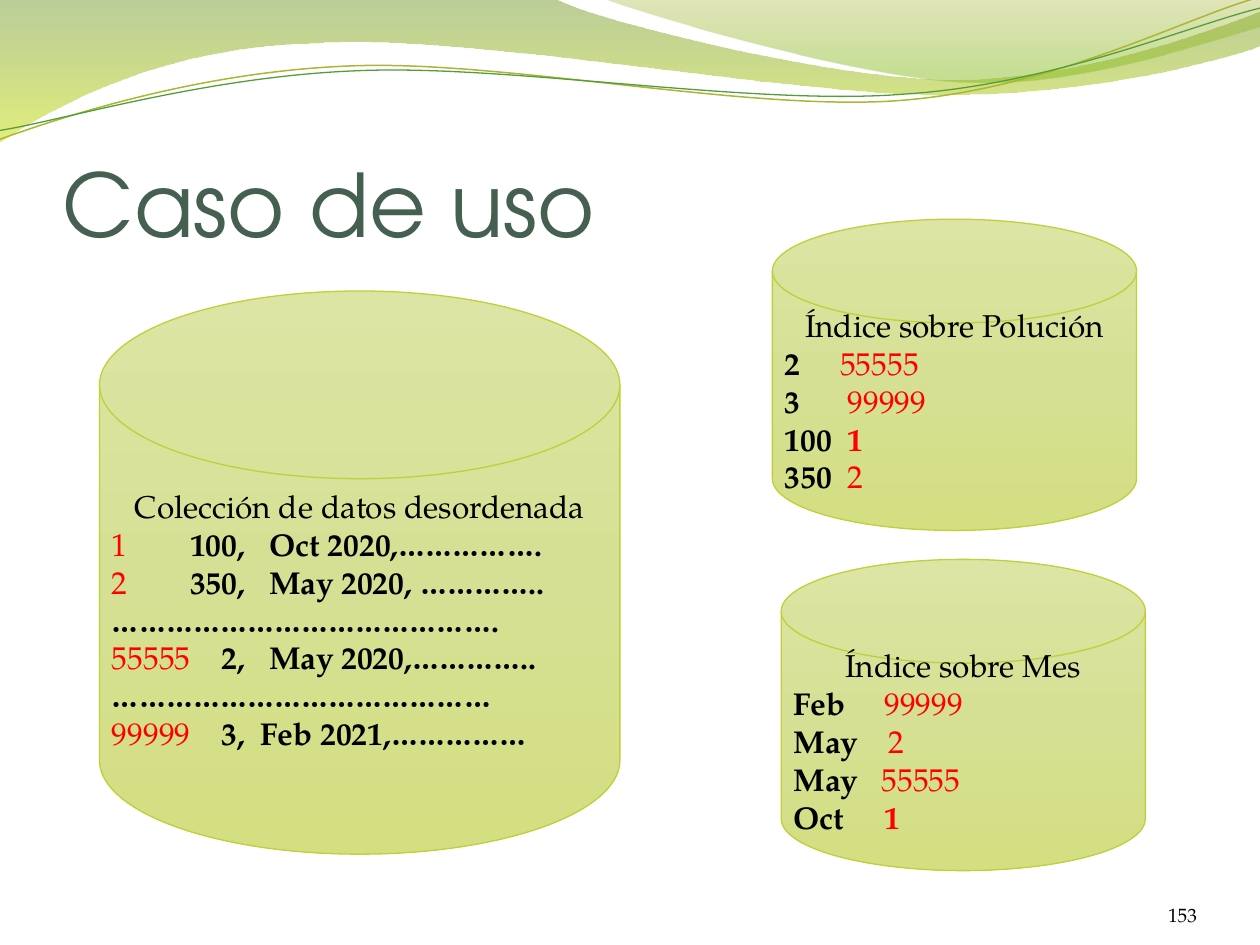
from lxml.etree import SubElement
from pptx import Presentation
from pptx.dml.color import RGBColor
from pptx.enum.shapes import MSO_SHAPE
from pptx.enum.text import MSO_ANCHOR, PP_ALIGN
from pptx.oxml.ns import qn
from pptx.util import Cm, Pt

INCH = 2.54  # centimetres
BODY_FONT = "TeX Gyre Pagella"
BLACK, RED = "000000", "FF0000"


def color(value):
    return RGBColor.from_string(value)


def fill_gradient(shape, stops):
    """Fill from top to bottom; each stop is (position, colour, opacity), in percent."""
    shape.fill.gradient()
    shape.fill.gradient_angle = 270
    stop_list = shape._element.spPr.find(qn("a:gradFill")).find(qn("a:gsLst"))
    for old_stop in list(stop_list):
        stop_list.remove(old_stop)
    for position, value, opacity in stops:
        stop = SubElement(stop_list, qn("a:gs"), pos=str(position * 1000))
        tint = SubElement(stop, qn("a:srgbClr"), val=value)
        if opacity < 100:
            SubElement(tint, qn("a:alpha"), val=str(opacity * 1000))


deck = Presentation()
deck.slide_width, deck.slide_height = Cm(25.4), Cm(19.05)
page = deck.slides.add_slide(deck.slide_layouts[6])

# Header waves, in inches: pairs are corners, sextuples are Bezier curves
waves = [
    ((-0.01, -0.01, 10.02, 1.14), 0,
     [(0, 0), (4.4, -0.01), (4.75, 0.17, 6.63, 0.63, 7.58, 0.63),
      (8.53, 0.63, 9.58, 0.26, 10, 0.09), (10.01, 0.36),
      (9.83, 0.44, 8.69, 0.76, 7.46, 0.75), (6.22, 0.75, 3.81, 0.28, 2.57, 0.34),
      (1.29, 0.36, 0.46, 0.83, -0.01, 1.13), (0, 0)],
     [(0, "69921C", 45), (100, "CCE10F", 55)], None, 0),
    ((4.79, -0.01, 5.21, 0.7), 0,
     [(4.79, -0.01), (5.09, 0.11, 6.82, 0.62, 7.68, 0.65),
      (8.55, 0.69, 9.61, 0.32, 10, 0.21), (10, 0), (4.79, -0.01)],
     [(0, "9BAA1A", 30), (80, "81BA16", 45)], None, 0),
    ((-0.02, 0.22, 10.02, 0.71), 357.3,
     [(-0.02, 0.87), (0.47, 0.72, 1.57, 0.41, 2.77, 0.42),
      (3.96, 0.42, 5.9, 0.93, 7.11, 0.9), (8.32, 0.87, 9.4, 0.36, 9.99, 0.22)],
     None, "A9B733", 0.85),
    ((-0.02, 0.3, 10.03, 0.58), 357.3,
     [(-0.02, 0.8), (0.46, 0.75, 1.63, 0.45, 2.83, 0.46),
      (4.02, 0.46, 5.96, 0.89, 7.16, 0.85), (8.35, 0.83, 9.42, 0.42, 10.02, 0.3)],
     None, "549E39", 0.75),
]
for place, angle, segments, stops, line_color, line_width in waves:
    left, top, width, height = [Cm(length * INCH) for length in place]
    corners = [(Cm(segment[-2] * INCH), Cm(segment[-1] * INCH)) for segment in segments]
    builder = page.shapes.build_freeform(*corners[0])
    builder.add_line_segments(corners[1:], close=stops is not None)
    wave = builder.convert_to_shape()
    wave.left, wave.top, wave.width, wave.height = left, top, width, height
    wave.rotation = angle

    # Redraw the outline with true curves
    outline = next(wave._element.iter(qn("a:path")))
    for step in list(outline):
        outline.remove(step)
    outline.set("w", str(width))
    outline.set("h", str(height))
    for index, segment in enumerate(segments):
        tag = "a:cubicBezTo" if len(segment) == 6 else "a:lnTo" if index else "a:moveTo"
        step = SubElement(outline, qn(tag))
        for x, y in zip(segment[::2], segment[1::2]):
            SubElement(step, qn("a:pt"), x=str(Cm(x * INCH) - left), y=str(Cm(y * INCH) - top))

    wave.shadow.inherit = False
    if stops:
        SubElement(outline, qn("a:close"))
        fill_gradient(wave, stops)
        wave.line.fill.background()
    else:
        wave.fill.background()
        wave.line.color.rgb = color(line_color)
        wave.line.width = Pt(line_width)

# Title and page number
labels = [
    ("Caso de uso", (0.5, 0.77, 9, 1.25), 0.05, PP_ALIGN.LEFT, 50, "TeX Gyre Adventor", "455F51"),
    ("153", (8.67, 6.95, 0.83, 0.4), 0, PP_ALIGN.RIGHT, 11, BODY_FONT, BLACK),
]
for text, place, top_margin, alignment, size, font_name, text_color in labels:
    box = page.shapes.add_textbox(*[Cm(length * INCH) for length in place])
    frame = box.text_frame
    frame.word_wrap = True
    frame.vertical_anchor = MSO_ANCHOR.BOTTOM
    frame.margin_left = frame.margin_right = frame.margin_bottom = 0
    frame.margin_top = Cm(top_margin * INCH)
    frame.text = text
    paragraph = frame.paragraphs[0]
    paragraph.alignment = alignment
    font = paragraph.runs[0].font
    font.size, font.name = Pt(size), font_name
    font.color.rgb = color(text_color)

# Disks: place, heading, rows of (tab stops in inches, spans of text, colour, bold)
disks = [
    ((0.79, 2.31, 4.13, 4.47), "Colección de datos desordenada", [
        ((0.62, 1.25), [("1", RED, False), ("\t100,\tOct 2020,…………….", BLACK, True)]),
        ((0.62, 1.25), [("2", RED, False), ("\t350,\tMay 2020, …………..", BLACK, True)]),
        ((), [("…………………………………….", BLACK, True)]),
        ((0.87, 1.25), [("55555", RED, False), ("\t2,\tMay 2020,…………..", BLACK, True)]),
        ((), [("……………………………………", BLACK, True)]),
        ((0.87, 1.18), [("99999", RED, False), ("\t3,\tFeb 2021,……………", BLACK, True)]),
    ]),
    ((6.13, 1.74, 2.89, 2.47), "Índice sobre Polución", [
        ((0.44,), [("2\t", BLACK, True), ("55555", RED, False)]),
        ((0.5,), [("3\t", BLACK, True), ("99999", RED, False)]),
        ((0.5,), [("100\t", BLACK, True), ("1", RED, True)]),
        ((0.5,), [("350\t", BLACK, True), ("2", RED, False)]),
    ]),
    ((6.2, 4.44, 2.89, 2.47), "Índice sobre Mes", [
        ((0.72,), [("Feb\t", BLACK, True), ("99999", RED, False)]),
        ((0.75,), [("May\t", BLACK, True), ("2", RED, False)]),
        ((0.7,), [("May\t", BLACK, True), ("55555", RED, False)]),
        ((0.72,), [("Oct\t", BLACK, True), ("1", RED, True)]),
    ]),
]
for place, heading, rows in disks:
    disk = page.shapes.add_shape(MSO_SHAPE.FLOWCHART_MAGNETIC_DISK,
                                 *[Cm(length * INCH) for length in place])
    disk.shadow.inherit = False
    fill_gradient(disk, [(0, "DCE5A3", 100), (50, "D6E095", 100), (100, "D4DF81", 100)])
    disk.line.color.rgb = color("C0CF3A")
    disk.line.width = Pt(0.75)
    frame = disk.text_frame
    frame.word_wrap = True
    frame.vertical_anchor = MSO_ANCHOR.MIDDLE
    lines = [((), [(heading, BLACK, False)])] + rows
    for index, (tab_stops, spans) in enumerate(lines):
        paragraph = frame.add_paragraph() if index else frame.paragraphs[0]
        paragraph.alignment = PP_ALIGN.LEFT if index else PP_ALIGN.CENTER
        if tab_stops:
            tab_list = SubElement(paragraph._p.get_or_add_pPr(), qn("a:tabLst"))
            for stop in tab_stops:
                SubElement(tab_list, qn("a:tab"), pos=str(Cm(stop * INCH)), algn="l")
        for text, text_color, bold in spans:
            span = paragraph.add_run()
            span.text = text
            span.font.size, span.font.name, span.font.bold = Pt(18), BODY_FONT, bold
            span.font.color.rgb = color(text_color)

deck.save("out.pptx")
